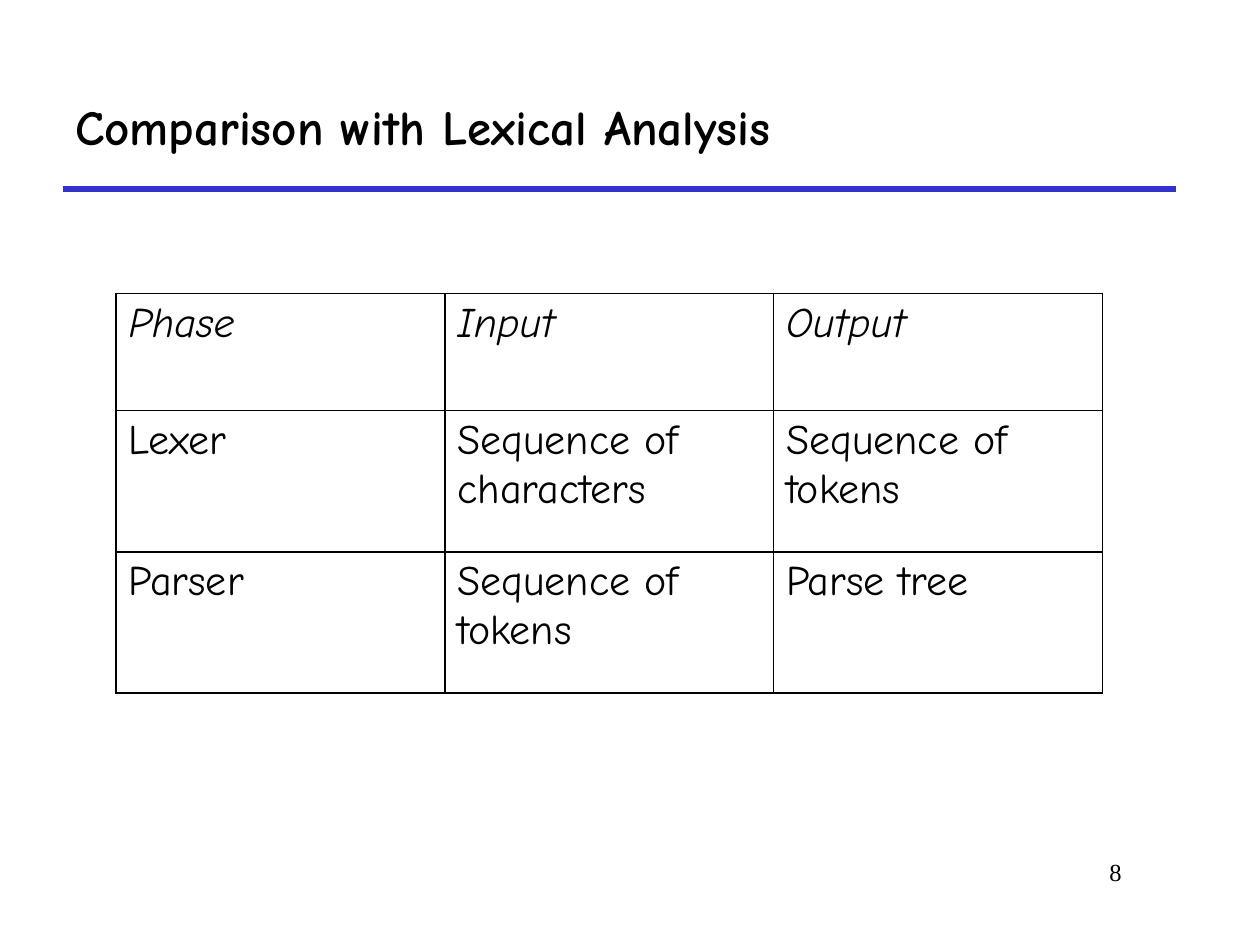
import pptx
import pptx.dml.color
import pptx.enum.shapes
import pptx.enum.text
import pptx.oxml.xmlchemy
import pptx.util
from lxml import etree
from pptx.util import Inches

BODY_FONT = "Comic Neue"
NUMBER_FONT = "Times New Roman"
BLACK = "000000"
RULE_BLUE = "3333CC"
PHASES = [
    ["Phase", "Input", "Output"],
    ["Lexer", "Sequence of characters", "Sequence of tokens"],
    ["Parser", "Sequence of tokens", "Parse tree"],
]
ROW_HEIGHTS = [0.93, 1.12, 1.12]


def color(hex_string):
    """Turn a hex string into a colour."""
    return pptx.dml.color.RGBColor.from_string(hex_string)


def write(frame, text, size, font=BODY_FONT, bold=False, italic=False,
          align=pptx.enum.text.PP_ALIGN.LEFT):
    """Write one formatted paragraph into a text frame."""
    frame.word_wrap = True
    paragraph = frame.paragraphs[0]
    paragraph.alignment = align
    run = paragraph.add_run()
    run.text = text
    run.font.name = font
    run.font.size = pptx.util.Pt(size)
    run.font.bold = bold
    run.font.italic = italic
    run.font.color.rgb = color(BLACK)


def add_heading(slide, left, top, width, height):
    """Place the title with the blue rule along the bottom of its box."""
    bottom = top + height
    rule = slide.shapes.add_connector(
        pptx.enum.shapes.MSO_CONNECTOR.STRAIGHT, left, bottom, left + width, bottom)
    rule.line.color.rgb = color(RULE_BLUE)
    rule.line.width = pptx.util.Pt(3)
    etree.SubElement(rule._element.spPr, pptx.oxml.ns.qn("a:effectLst"))
    title = slide.shapes.add_textbox(left, top, width, height).text_frame
    title.vertical_anchor = pptx.enum.text.MSO_ANCHOR.MIDDLE
    write(title, "Comparison with Lexical Analysis", 28, bold=True)


def add_borders(cell):
    """Draw a thin black line on each side of a cell."""
    qn = pptx.oxml.ns.qn
    properties = cell._tc.get_or_add_tcPr()
    for side in ("lnL", "lnR", "lnT", "lnB"):
        line = etree.SubElement(properties, qn(f"a:{side}"), w=str(pptx.util.Pt(1)))
        fill = etree.SubElement(line, qn("a:solidFill"))
        etree.SubElement(fill, qn("a:srgbClr"), val=BLACK)


def add_phase_table(slide, left, top, width, height):
    """Place the table of phases with their inputs and outputs."""
    table = slide.shapes.add_table(
        len(PHASES), len(PHASES[0]), left, top, width, height).table
    table.first_row = False
    table.horz_banding = False
    for row_index, (texts, row_height) in enumerate(zip(PHASES, ROW_HEIGHTS)):
        table.rows[row_index].height = Inches(row_height)
        for column_index, text in enumerate(texts):
            cell = table.cell(row_index, column_index)
            add_borders(cell)
            cell.fill.background()
            write(cell.text_frame, text, 24, italic=row_index == 0)


def add_page_number(slide, left, top, width, height):
    """Place the page number at the right of its box."""
    number = slide.shapes.add_textbox(left, top, width, height).text_frame
    write(number, "8", 14, font=NUMBER_FONT, align=pptx.enum.text.PP_ALIGN.RIGHT)


def main():
    """Build and save the slide."""
    deck = pptx.Presentation()
    deck.slide_width = Inches(10)
    deck.slide_height = Inches(7.5)
    slide = deck.slides.add_slide(deck.slide_layouts[6])
    add_heading(slide, Inches(0.5), Inches(0.5), Inches(8.83), Inches(1))
    add_phase_table(slide, Inches(0.92), Inches(2.33), Inches(7.83),
                    Inches(sum(ROW_HEIGHTS)))
    add_page_number(slide, Inches(7.58), Inches(6.75), Inches(1.42), Inches(0.5))
    deck.save("out.pptx")


if __name__ == "__main__":
    main()
